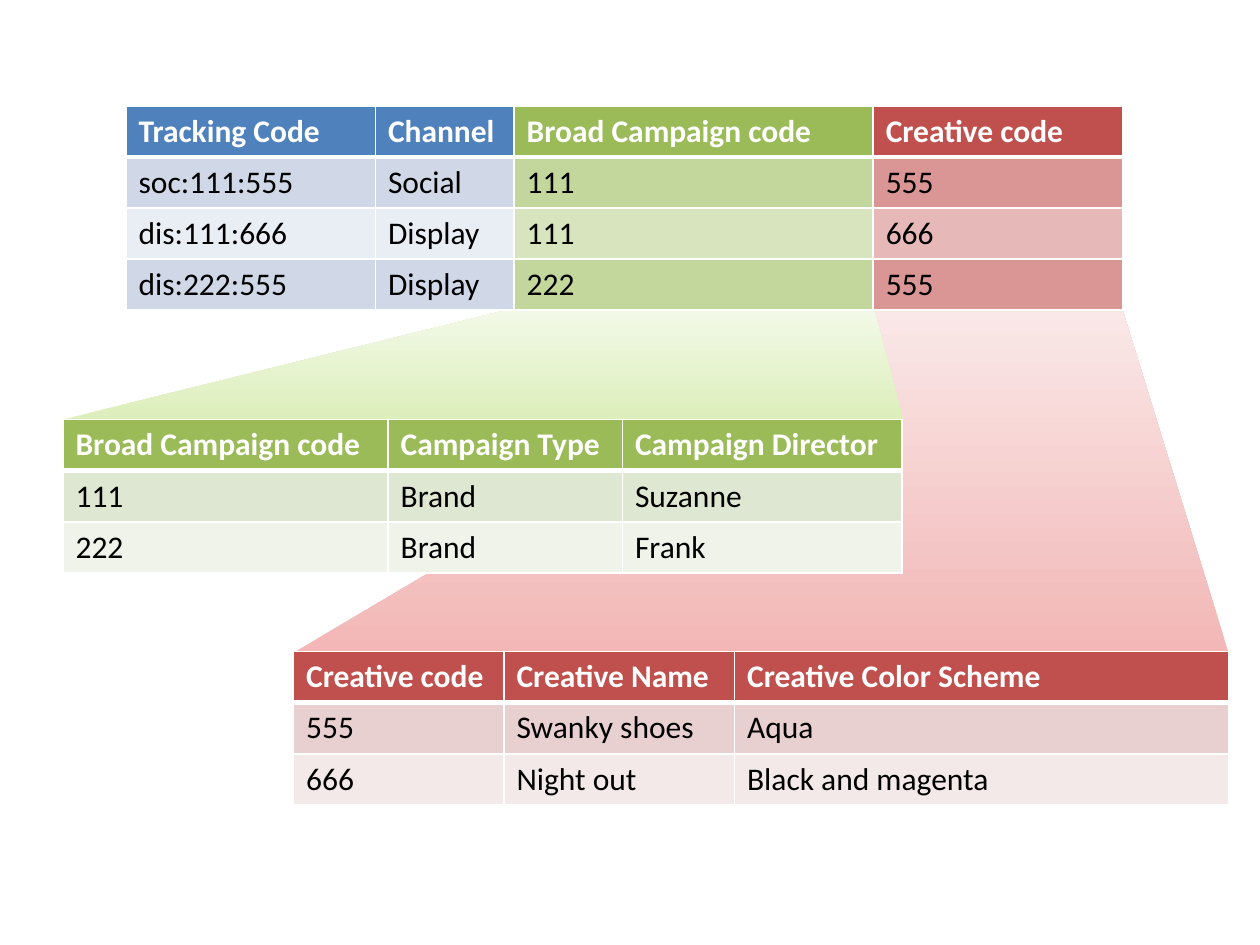
from pptx import Presentation
from pptx.dml.color import RGBColor as RGB
from pptx.oxml import parse_xml
from pptx.oxml.ns import nsdecls
from pptx.util import Inches, Pt

WHITE = RGB(0xFF, 0xFF, 0xFF)
BLACK = RGB(0, 0, 0)
BLUE = [RGB(0x4F, 0x81, 0xBD), RGB(0xD0, 0xD8, 0xE8), RGB(0xE9, 0xED, 0xF4)]
GREEN = [RGB(0x9B, 0xBB, 0x59), RGB(0xC3, 0xD6, 0x9B), RGB(0xD7, 0xE4, 0xBD)]
RED = [RGB(0xC0, 0x50, 0x4D), RGB(0xD9, 0x96, 0x94), RGB(0xE6, 0xB9, 0xB8)]
PALE_GREEN = [GREEN[0], RGB(0xDE, 0xE7, 0xD1), RGB(0xEF, 0xF3, 0xEA)]
PALE_RED = [RED[0], RGB(0xE8, 0xD0, 0xD0), RGB(0xF4, 0xE9, 0xE9)]
RED_FADE = [RGB(0xF2, 0xB7, 0xB6), RGB(0xFA, 0xE8, 0xE8)]
GREEN_FADE = [RGB(0xDD, 0xEF, 0xBB), RGB(0xF3, 0xF9, 0xE9)]

deck = Presentation()
deck.slide_width, deck.slide_height = Inches(10), Inches(7.5)
slide = deck.slides.add_slide(deck.slide_layouts[6])

beams = [
    ([(6.96, 2.45), (8.9, 2.43), (9.75, 5.18), (2.33, 5.18)], RED_FADE),
    ([(4.07, 2.45), (6.93, 2.43), (7.17, 3.33), (0.5, 3.33)], GREEN_FADE),
]
for corners, fade in beams:
    points = [(Inches(x), Inches(y)) for x, y in corners]
    pen = slide.shapes.build_freeform(*points[0])
    pen.add_line_segments(points[1:], close=True)
    beam = pen.convert_to_shape()
    beam.shadow.inherit = False
    beam.line.fill.background()
    beam.fill.gradient()
    beam.fill.gradient_angle = 90
    for stop, tone in zip(beam.fill.gradient_stops, fade):
        stop.color.rgb = tone


def add_edges(cell, row):
    props = cell._tc.get_or_add_tcPr()
    for side in "LRTB":
        width = Pt(3 if (row, side) in [(0, "B"), (1, "T")] else 1)
        props.append(parse_xml(
            f'<a:ln{side} {nsdecls("a")} w="{width}"><a:solidFill>'
            f'<a:srgbClr val="{WHITE}"/></a:solidFill></a:ln{side}>'))


tables = [
    (1, 0.84, 1.62, [1.98, 1.1, 2.85, 1.98], [BLUE, BLUE, GREEN, RED], [
        ["Tracking Code", "Channel", "Broad Campaign code", "Creative code"],
        ["soc:111:555", "Social", "111", "555"],
        ["dis:111:666", "Display", "111", "666"],
        ["dis:222:555", "Display", "222", "555"]]),
    (0.5, 3.33, 1.22, [2.58, 1.86, 2.22], [PALE_GREEN] * 3, [
        ["Broad Campaign code", "Campaign Type", "Campaign Director"],
        ["111", "Brand", "Suzanne"],
        ["222", "Brand", "Frank"]]),
    (2.33, 5.17, 1.22, [1.67, 1.83, 3.92], [PALE_RED] * 3, [
        ["Creative code", "Creative Name", "Creative Color Scheme"],
        ["555", "Swanky shoes", "Aqua"],
        ["666", "Night out", "Black and magenta"]]),
]
for left, top, height, widths, tones, rows in tables:
    grid = slide.shapes.add_table(
        len(rows), len(widths), Inches(left), Inches(top),
        Inches(sum(widths)), Inches(height)).table
    for col, width in zip(grid.columns, widths):
        col.width = Inches(width)
    for r, texts in enumerate(rows):
        for c, text in enumerate(texts):
            cell = grid.cell(r, c)
            add_edges(cell, r)
            cell.fill.solid()
            cell.fill.fore_color.rgb = tones[c][2 - r % 2 if r else 0]
            run = cell.text_frame.paragraphs[0].add_run()
            run.text = text
            run.font.name = "Calibri"
            run.font.size = Pt(18)
            run.font.bold = r == 0
            run.font.color.rgb = BLACK if r else WHITE

deck.save("out.pptx")
